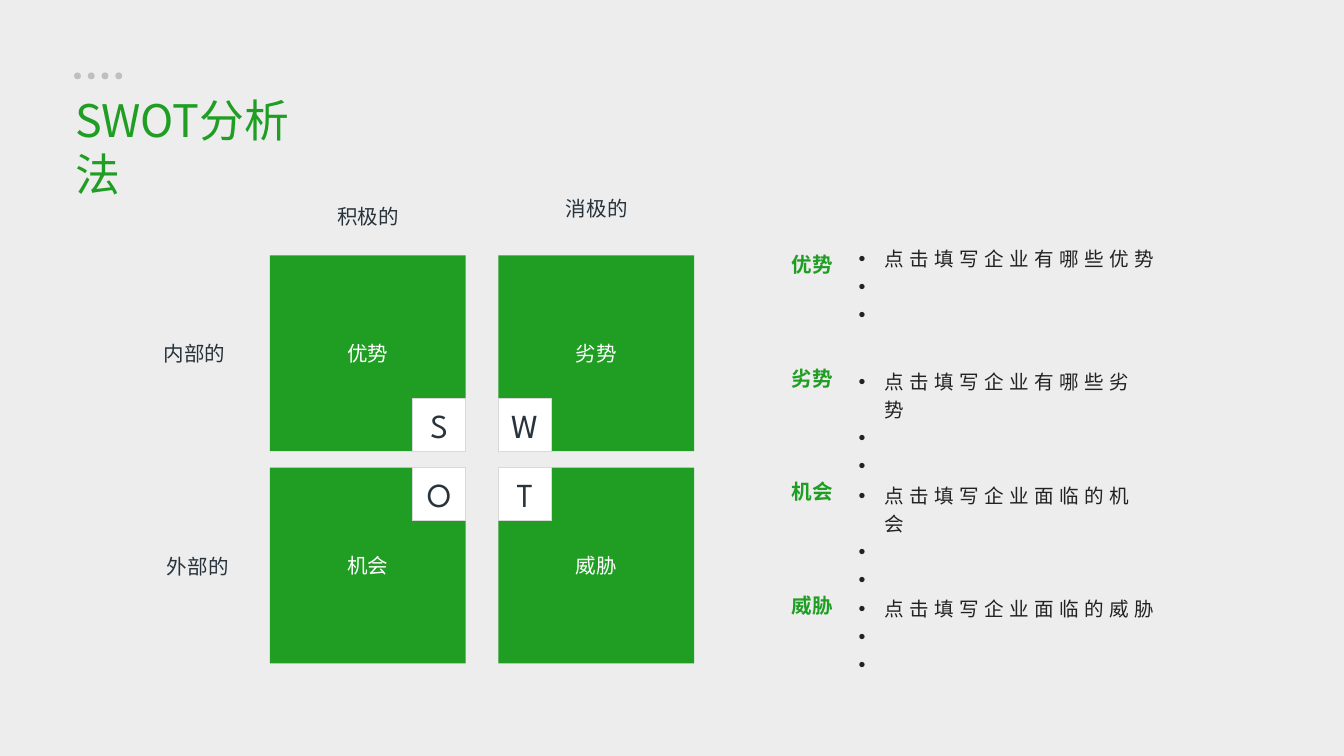
from dataclasses import dataclass

from lxml.etree import SubElement
from pptx import Presentation
from pptx.dml.color import RGBColor
from pptx.enum.shapes import MSO_SHAPE
from pptx.enum.text import MSO_ANCHOR, PP_ALIGN
from pptx.oxml.ns import qn
from pptx.util import Cm, Pt

HUES = {"back": "EDEDED", "green": "1F9E23", "white": "FFFFFF", "dark": "28333C",
        "text": "222222", "dot": "BFBFBF", "edge": "D9D9D9"}
SANS, HEAD = "Noto Sans CJK SC", "League Spartan"
LEFT, TOP, SIDE, TAG = 5.1, 4.83, 3.7, 1.0
STEP_X, STEP_Y = 4.32, 4.01
LINE = 0.71


@dataclass
class Part:
    mark: str
    name: str
    col: int
    row: int
    note: str
    note_y: float
    note_w: float


PARTS = [
    Part("S", "优势", 0, 0, "点击填写企业有哪些优势", 4.45, 6.55),
    Part("W", "劣势", 1, 0, "点击填写企业有哪些劣势", 6.78, 5.94),
    Part("O", "机会", 0, 1, "点击填写企业面临的机会", 8.93, 5.94),
    Part("T", "威胁", 1, 1, "点击填写企业面临的威胁", 11.07, 6.22),
]


def hue(key: str) -> RGBColor:
    return RGBColor.from_string(HUES[key])


def style(para, size: float, key: str, face: str = SANS, bold: bool = False) -> None:
    font = para.font
    font.size, font.name, font.bold = Pt(size), face, bold
    font.color.rgb = hue(key)
    SubElement(font._element, qn("a:ea")).set("typeface", face)


def block(shapes, kind, x: float, y: float, size: float, key: str, edge: str = ""):
    shape = shapes.add_shape(kind, Cm(x), Cm(y), Cm(size), Cm(size))
    shape.shadow.inherit = False
    shape.fill.solid()
    shape.fill.fore_color.rgb = hue(key)
    if edge:
        shape.line.color.rgb = hue(edge)
        shape.line.width = Pt(0.25)
    else:
        shape.line.fill.background()
    return shape


def label(shapes, text: str, x: float, y: float, width: float, key: str,
          size: float = 11, align=PP_ALIGN.CENTER, bold: bool = False,
          wrap: bool = False, high: float = LINE) -> None:
    frame = shapes.add_textbox(Cm(x), Cm(y), Cm(width), Cm(high)).text_frame
    frame.word_wrap = wrap
    para = frame.paragraphs[0]
    para.text, para.alignment = text, align
    style(para, size, key, bold=bold)


def square(shapes, part: Part) -> None:
    x, y = LEFT + part.col * STEP_X, TOP + part.row * STEP_Y
    group = shapes.add_group_shape().shapes
    block(group, MSO_SHAPE.RECTANGLE, x, y, SIDE, "green")
    # The tag sits in the corner nearest the centre
    tag = block(group, MSO_SHAPE.RECTANGLE, x + (1 - part.col) * (SIDE - TAG),
                y + (1 - part.row) * (SIDE - TAG), TAG, "white", "edge")
    frame = tag.text_frame
    frame.margin_left = frame.margin_right = 0
    frame.vertical_anchor = MSO_ANCHOR.MIDDLE
    para = frame.paragraphs[0]
    para.text, para.alignment = part.mark, PP_ALIGN.CENTER
    style(para, 18, "dark", HEAD)
    label(group, part.name, x + (SIDE - 1.3) / 2, y + (SIDE - LINE) / 2, 1.3, "white")


def notes(shapes, part: Part) -> None:
    frame = shapes.add_textbox(Cm(15.98), Cm(part.note_y), Cm(part.note_w),
                               Cm(1.85)).text_frame
    frame.word_wrap = True
    # Two open bullets follow each note
    frame.text = "\n".join([part.note, " ", " "])
    for para in frame.paragraphs:
        para.line_spacing = 1.2
        style(para, 10.5, "text")
        para.font._element.set("spc", "300")
        props = para._p.get_or_add_pPr()
        props.set("marL", str(Cm(0.48)))
        props.set("indent", str(-Cm(0.48)))
        face = props.makeelement(qn("a:buFont"), {"typeface": "Arial"})
        dot = props.makeelement(qn("a:buChar"), {"char": "•"})
        last = props.find(qn("a:defRPr"))
        last.addprevious(face)
        last.addprevious(dot)
        for run in para.runs:
            run.font._element.set("spc", "300")


deck = Presentation()
deck.slide_width, deck.slide_height = Cm(25.4), Cm(14.29)
slide = deck.slides.add_slide(deck.slide_layouts[6])
slide.background.fill.solid()
slide.background.fill.fore_color.rgb = hue("back")
shapes = slide.shapes

# Dots and title
dots = shapes.add_group_shape().shapes
for i in range(4):
    block(dots, MSO_SHAPE.OVAL, 1.4 + i * 0.26, 1.37, 0.13, "dot")

# Matrix
for part in PARTS:
    square(shapes, part)

# Column and row heads
for text, x, y in [("积极的", 6.12, 3.73), ("消极的", 10.44, 3.58),
                   ("内部的", 2.84, 6.32), ("外部的", 2.9, 10.34)]:
    label(shapes, text, x, y, 1.68, "dark")

# Notes
for i, part in enumerate(PARTS):
    label(shapes, part.name, 14.71, 4.64 + i * 2.145, 1.3, "green",
          align=PP_ALIGN.LEFT, bold=True)
for part in PARTS:
    notes(shapes, part)

label(shapes, "SWOT分析法", 1.17, 1.63, 5.33, "green", size=24,
      align=PP_ALIGN.LEFT, wrap=True, high=1.27)

deck.save("out.pptx")
